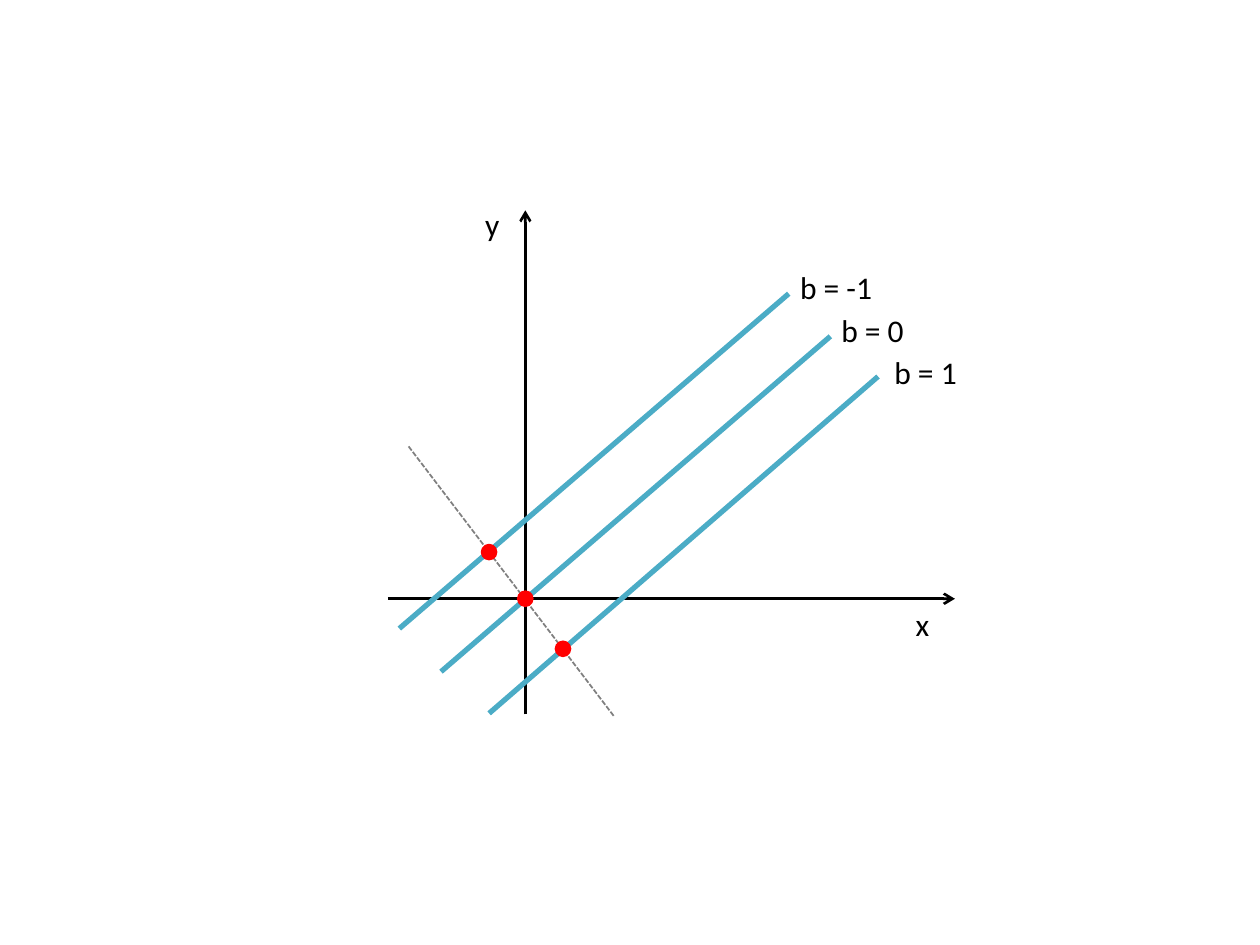
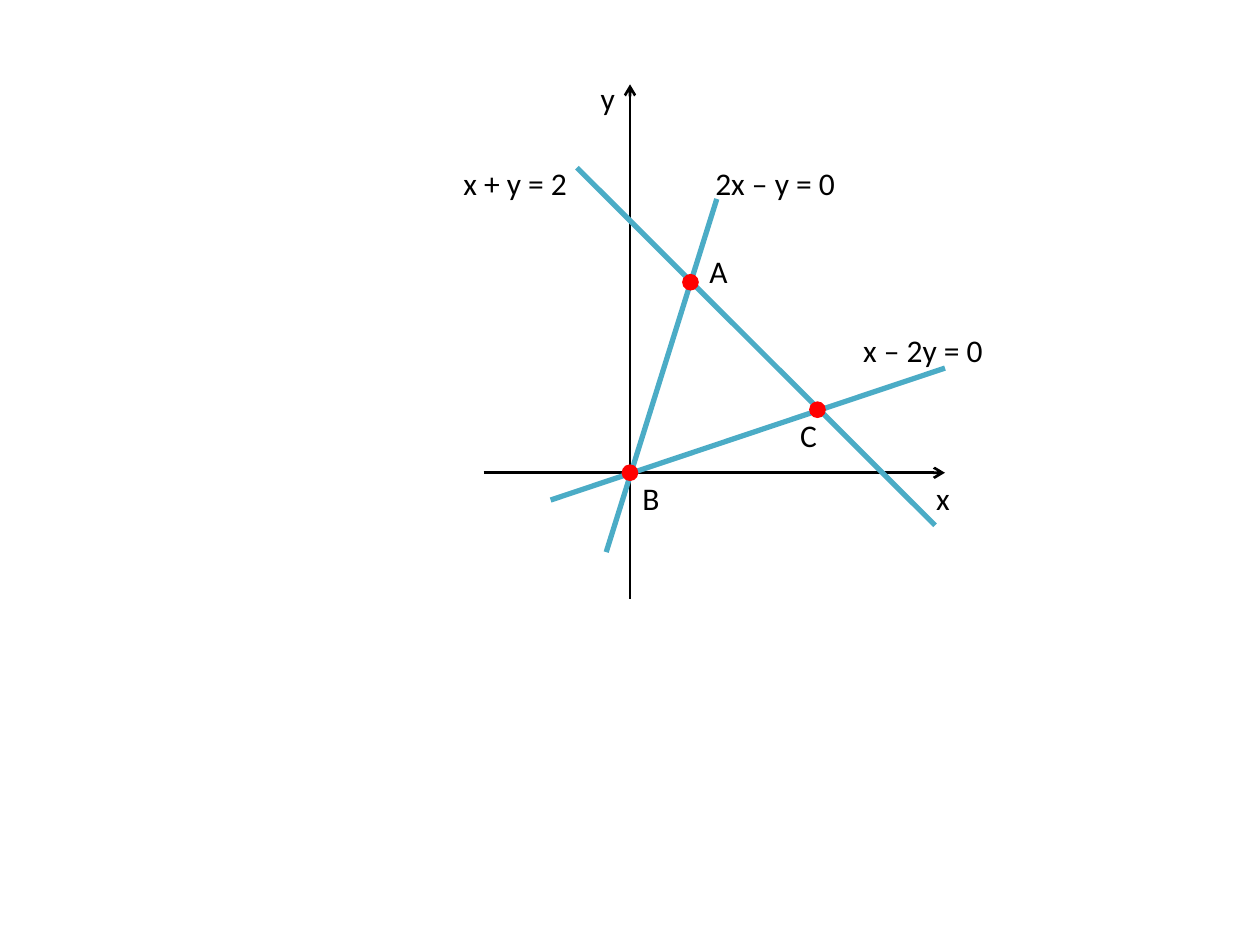
from lxml import etree
from pptx import Presentation
from pptx import util as u
from pptx.dml.color import RGBColor
from pptx.enum import dml, shapes, text
from pptx.oxml import ns

COLOURS = {"ink": "000000", "line": "4BACC6", "normal": "808080", "point": "FF0000"}
FONT, FONT_SIZE = "Calibri", 18
LABEL_HEIGHT, POINT_SIZE = 1.02, 0.31

PLOTS = [
    {
        "grouped": True,
        "axes": [((10.59, 14.4), (10.59, 4.24)), ((7.82, 12.07), (19.25, 12.07))],
        "lines": [
            ((15.9, 5.92), (8.05, 12.67)),
            ((17.7, 7.59), (9.86, 14.38)),
            ((16.74, 6.78), (8.89, 13.54)),
        ],
        "normals": [((12.37, 14.43), (8.23, 8.99))],
        "points": [(10.59, 12.07), (9.86, 11.13), (11.35, 13.08)],
        "labels": [
            ("y", 9.53, 4.01, 0.81),
            ("x", 18.21, 12.07, 0.81),
            ("b = 1", 17.78, 6.99, 1.78),
            ("b = 0", 16.71, 6.15, 1.78),
            ("b = -1", 15.88, 5.28, 1.98),
        ],
    },
    {
        "grouped": False,
        "axes": [((12.7, 12.07), (12.7, 1.7)), ((9.75, 9.53), (19.05, 9.53))],
        "lines": [
            ((14.45, 4.01), (12.22, 11.13)),
            ((11.63, 3.38), (18.85, 10.59)),
            ((11.1, 10.08), (19.05, 7.42)),
        ],
        "normals": [],
        "points": [(13.92, 5.69), (12.7, 9.53), (16.48, 8.26)],
        "labels": [
            ("y", 11.86, 1.47, 0.81),
            ("x", 18.62, 9.53, 0.81),
            ("x + y = 2", 9.09, 3.18, 2.64),
            ("2x – y = 0", 14.17, 3.18, 2.95),
            ("x – 2y = 0", 17.15, 6.55, 2.95),
            ("A", 14.05, 4.95, 0.89),
            ("B", 12.7, 9.53, 0.86),
            ("C", 15.88, 8.26, 0.86),
        ],
    },
]


def colour(name):
    return RGBColor.from_string(COLOURS[name])


def add_line(canvas, ends, name, width, dash=None, arrow=False):
    (x1, y1), (x2, y2) = ends
    connector = canvas.add_connector(
        shapes.MSO_CONNECTOR.STRAIGHT, u.Cm(x1), u.Cm(y1), u.Cm(x2), u.Cm(y2)
    )
    connector.line.color.rgb = colour(name)
    connector.line.width = u.Pt(width)
    if dash:
        connector.line.dash_style = dash
    properties = connector._element.spPr
    if arrow:
        outline = properties.find(ns.qn("a:ln"))
        etree.SubElement(outline, ns.qn("a:tailEnd"), type="arrow")
    etree.SubElement(properties, ns.qn("a:effectLst"))


def add_point(canvas, x, y):
    left, top = x - POINT_SIZE / 2, y - POINT_SIZE / 2
    point = canvas.add_shape(
        shapes.MSO_SHAPE.OVAL, u.Cm(left), u.Cm(top), u.Cm(POINT_SIZE), u.Cm(POINT_SIZE)
    )
    point.shadow.inherit = False
    point.fill.solid()
    point.fill.fore_color.rgb = colour("point")
    point.line.color.rgb = colour("point")
    point.line.width = u.Pt(0.75)


def add_label(canvas, words, left, top, width):
    box = canvas.add_textbox(u.Cm(left), u.Cm(top), u.Cm(width), u.Cm(LABEL_HEIGHT))
    frame = box.text_frame
    frame.word_wrap = False
    frame.auto_size = text.MSO_AUTO_SIZE.SHAPE_TO_FIT_TEXT
    span = frame.paragraphs[0].add_run()
    span.text = words
    span.font.name = FONT
    span.font.size = u.Pt(FONT_SIZE)
    span.font.color.rgb = colour("ink")


def draw_plot(page, plot):
    canvas = page.shapes.add_group_shape().shapes if plot["grouped"] else page.shapes
    for ends in plot["axes"]:
        add_line(canvas, ends, "ink", 1.5, arrow=True)
    for ends in plot["lines"]:
        add_line(canvas, ends, "line", 3)
    for ends in plot["normals"]:
        add_line(canvas, ends, "normal", 1, dash=dml.MSO_LINE.SQUARE_DOT)
    for x, y in plot["points"]:
        add_point(canvas, x, y)
    for label in plot["labels"]:
        add_label(canvas, *label)


def main():
    deck = Presentation()
    deck.slide_width, deck.slide_height = u.Cm(25.4), u.Cm(19.05)
    blank = deck.slide_layouts.get_by_name("Blank")
    for plot in PLOTS:
        draw_plot(deck.slides.add_slide(blank), plot)
    deck.save("out.pptx")


if __name__ == "__main__":
    main()
